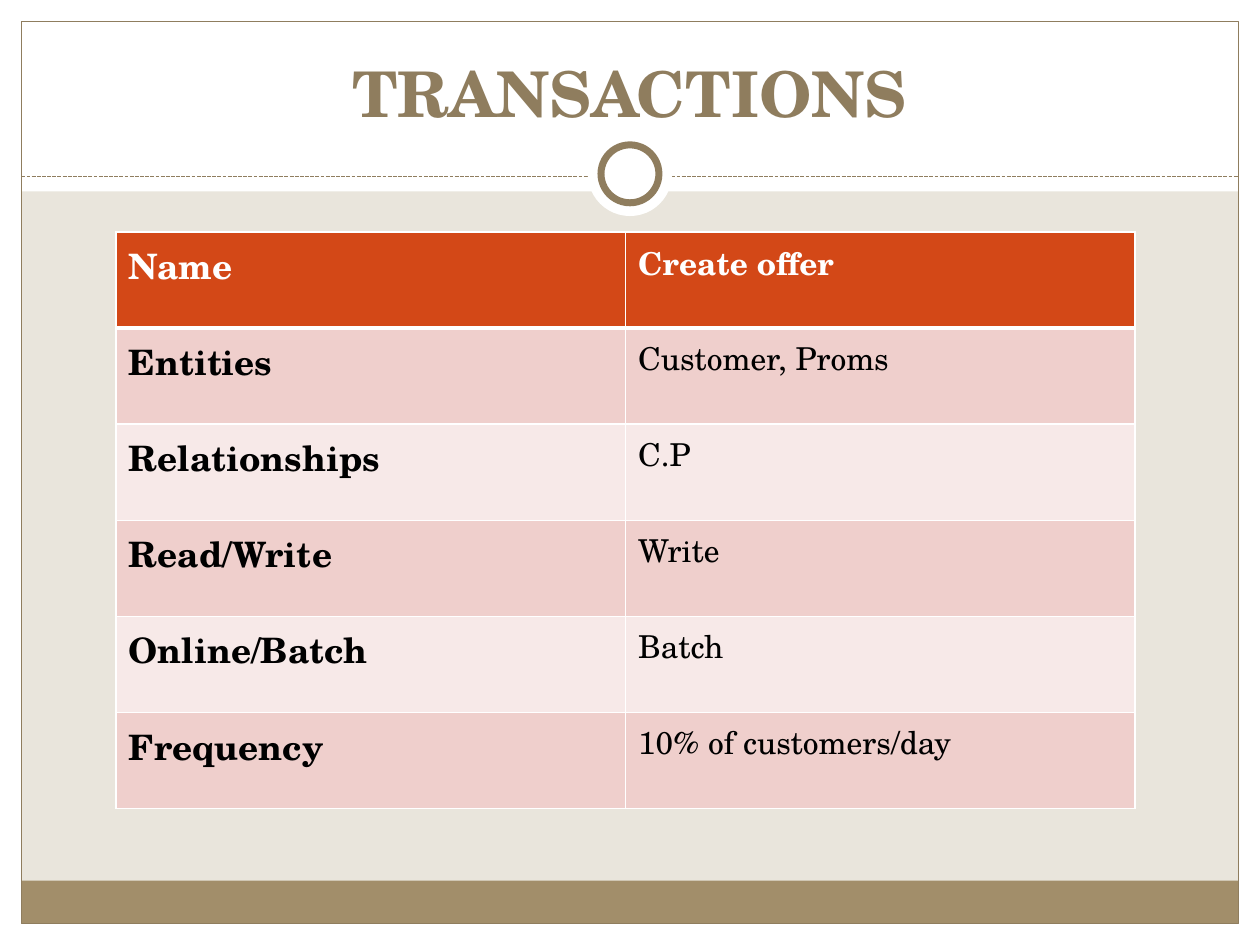
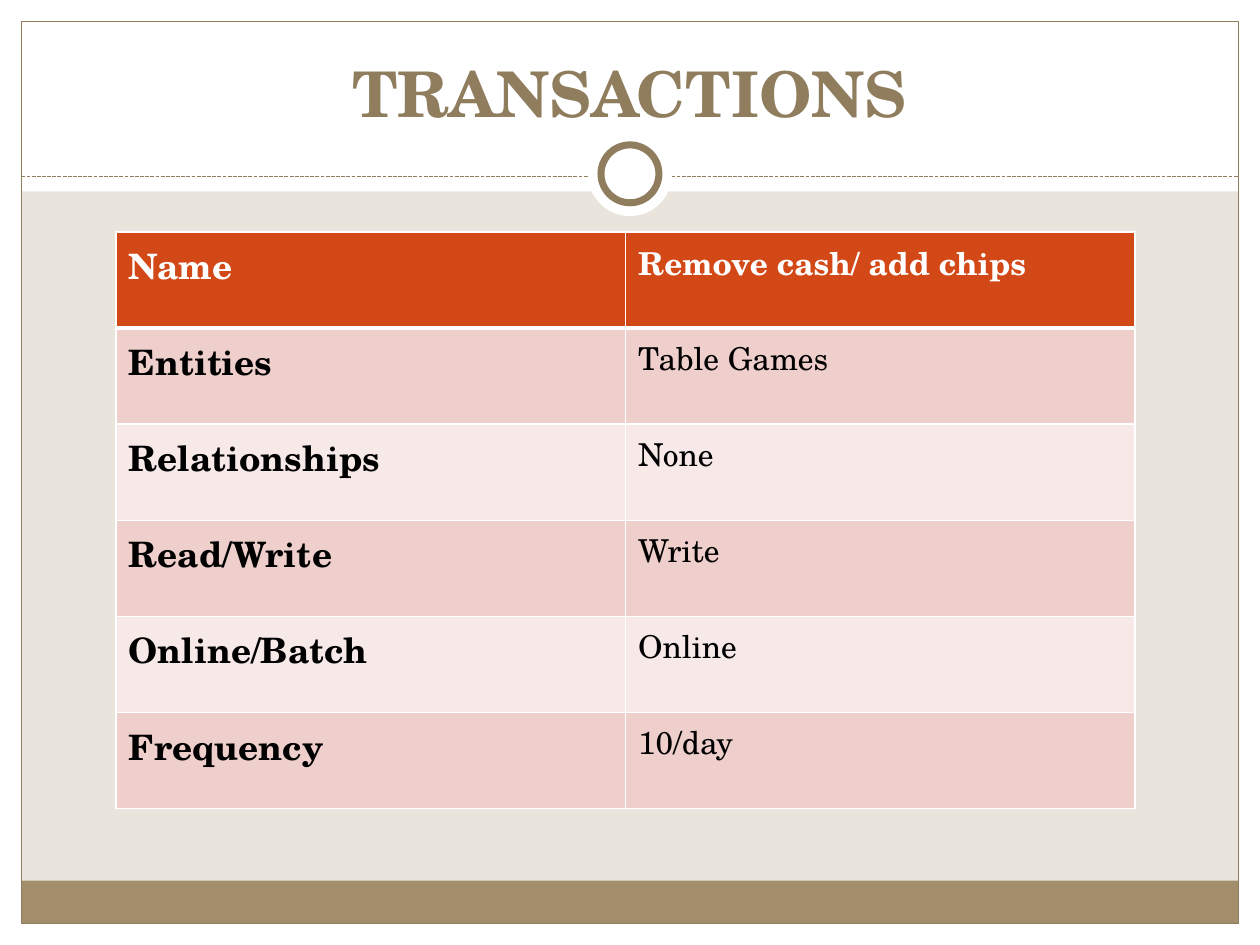
from lxml import etree
from pptx import Presentation
from pptx import util as u
from pptx.dml.color import RGBColor
from pptx.enum import dml, shapes, text
from pptx.oxml import ns

COLORS = {
    "background": "E9E5DC",
    "white": "FFFFFF",
    "black": "000000",
    "footer": "A28E6A",
    "accent": "8F7D5E",
    "header": "D34817",
    "odd_row": "EFCFCC",
    "even_row": "F7E9E8",
}
FONT = "TeX Gyre Schola"
WIDTH, HEIGHT, MARGIN = 10, 7.5, 0.17
FRAME_WIDTH, FRAME_HEIGHT = WIDTH - 2 * MARGIN, HEIGHT - 2 * MARGIN

LABELS = ["Name", "Entities", "Relationships", "Read/Write", "Online/Batch", "Frequency"]
TRANSACTIONS = [
    ["Create offer", "Customer, Proms", "C.P", "Write", "Batch", "10% of customers/day"],
    ["Remove cash/ add chips", "Table Games", "None", "Write", "Online", "10/day"],
]


def color(name):
    return RGBColor.from_string(COLORS[name])


class Deck:
    def __init__(self):
        self.presentation = Presentation()
        self.presentation.slide_width = u.Inches(WIDTH)
        self.presentation.slide_height = u.Inches(HEIGHT)
        self.slide = None

    def add_slide(self, title):
        self.slide = self.presentation.slides.add_slide(self.presentation.slide_layouts[6])
        fill = self.slide.background.fill
        fill.solid()
        fill.fore_color.rgb = color("background")
        self.decorate()
        self.title(title)

    def shape(self, kind, left, top, width, height, fill=None, line=None, weight=0.75):
        shape = self.slide.shapes.add_shape(
            kind, u.Inches(left), u.Inches(top), u.Inches(width), u.Inches(height))
        shape.shadow.inherit = False
        if fill:
            shape.fill.solid()
            shape.fill.fore_color.rgb = color(fill)
        else:
            shape.fill.background()
        if line:
            shape.line.color.rgb = color(line)
            shape.line.width = u.Pt(weight)
        else:
            shape.line.fill.background()

    def dashed_line(self, left, right, top):
        line = self.slide.shapes.add_connector(
            shapes.MSO_CONNECTOR.STRAIGHT,
            u.Inches(left), u.Inches(top), u.Inches(right), u.Inches(top))
        line.line.color.rgb = color("accent")
        line.line.width = u.Pt(0.75)
        line.line.dash_style = dml.MSO_LINE.SQUARE_DOT
        etree.SubElement(line._element.spPr, ns.qn("a:effectLst"))

    def circle(self, center_y, diameter, **style):
        self.shape(shapes.MSO_SHAPE.OVAL, (WIDTH - diameter) / 2,
                   center_y - diameter / 2, diameter, diameter, **style)

    def decorate(self):
        rectangle = shapes.MSO_SHAPE.RECTANGLE
        # White page margins and title band
        for box in [
            (0, HEIGHT - MARGIN, WIDTH, MARGIN),
            (0, 0, WIDTH, 1.52),
            (0, 0, MARGIN, HEIGHT),
            (WIDTH - MARGIN, 0, MARGIN, HEIGHT),
        ]:
            self.shape(rectangle, *box, fill="white")
        # Footer band, frame and divider
        self.shape(rectangle, MARGIN, 6.99, FRAME_WIDTH, 0.34, fill="footer")
        self.shape(rectangle, MARGIN, MARGIN, FRAME_WIDTH, FRAME_HEIGHT, line="accent")
        self.dashed_line(MARGIN, WIDTH - MARGIN, 1.4)
        # Ring on the divider
        self.circle(1.38, 0.67, fill="white")
        self.circle(1.38, 0.46, fill="white", line="accent", weight=4)

    def set_text(self, paragraph, words, size, ink, bold):
        paragraph.text = words
        font = paragraph.font
        font.name, font.size, font.bold = FONT, u.Pt(size), bold
        font.color.rgb = color(ink)

    def title(self, words):
        box = self.slide.shapes.add_textbox(
            u.Inches(0.33), u.Inches(0.25), u.Inches(9.33), u.Inches(0.83))
        frame = box.text_frame
        frame.word_wrap = True
        frame.vertical_anchor = text.MSO_ANCHOR.BOTTOM
        paragraph = frame.paragraphs[0]
        paragraph.alignment = text.PP_ALIGN.CENTER
        self.set_text(paragraph, words, 36, "accent", True)

    def cell_borders(self, cell, bottom):
        properties = cell._tc.get_or_add_tcPr()
        for side, weight in {"L": 1, "R": 1, "T": 1, "B": bottom}.items():
            line = etree.SubElement(properties, ns.qn(f"a:ln{side}"), w=str(u.Pt(weight)))
            fill = etree.SubElement(line, ns.qn("a:solidFill"))
            etree.SubElement(fill, ns.qn("a:srgbClr"), val=COLORS["white"])

    def table(self, rows):
        table = self.slide.shapes.add_table(
            len(rows), 2, u.Inches(0.92), u.Inches(1.84),
            u.Inches(8.09), u.Inches(4.58)).table
        for row_index, row in enumerate(rows):
            is_header = row_index == 0
            band = "header" if is_header else "odd_row" if row_index % 2 else "even_row"
            for column_index, words in enumerate(row):
                is_label = column_index == 0
                cell = table.cell(row_index, column_index)
                self.cell_borders(cell, bottom=3 if is_header else 1)
                cell.fill.solid()
                cell.fill.fore_color.rgb = color(band)
                self.set_text(cell.text_frame.paragraphs[0], words,
                              size=20 if is_label else 18,
                              ink="white" if is_header else "black",
                              bold=is_header or is_label)


def main():
    deck = Deck()
    # One slide per transaction
    for values in TRANSACTIONS:
        deck.add_slide("TRANSACTIONS")
        deck.table(list(zip(LABELS, values)))
    deck.presentation.save("out.pptx")


if __name__ == "__main__":
    main()
